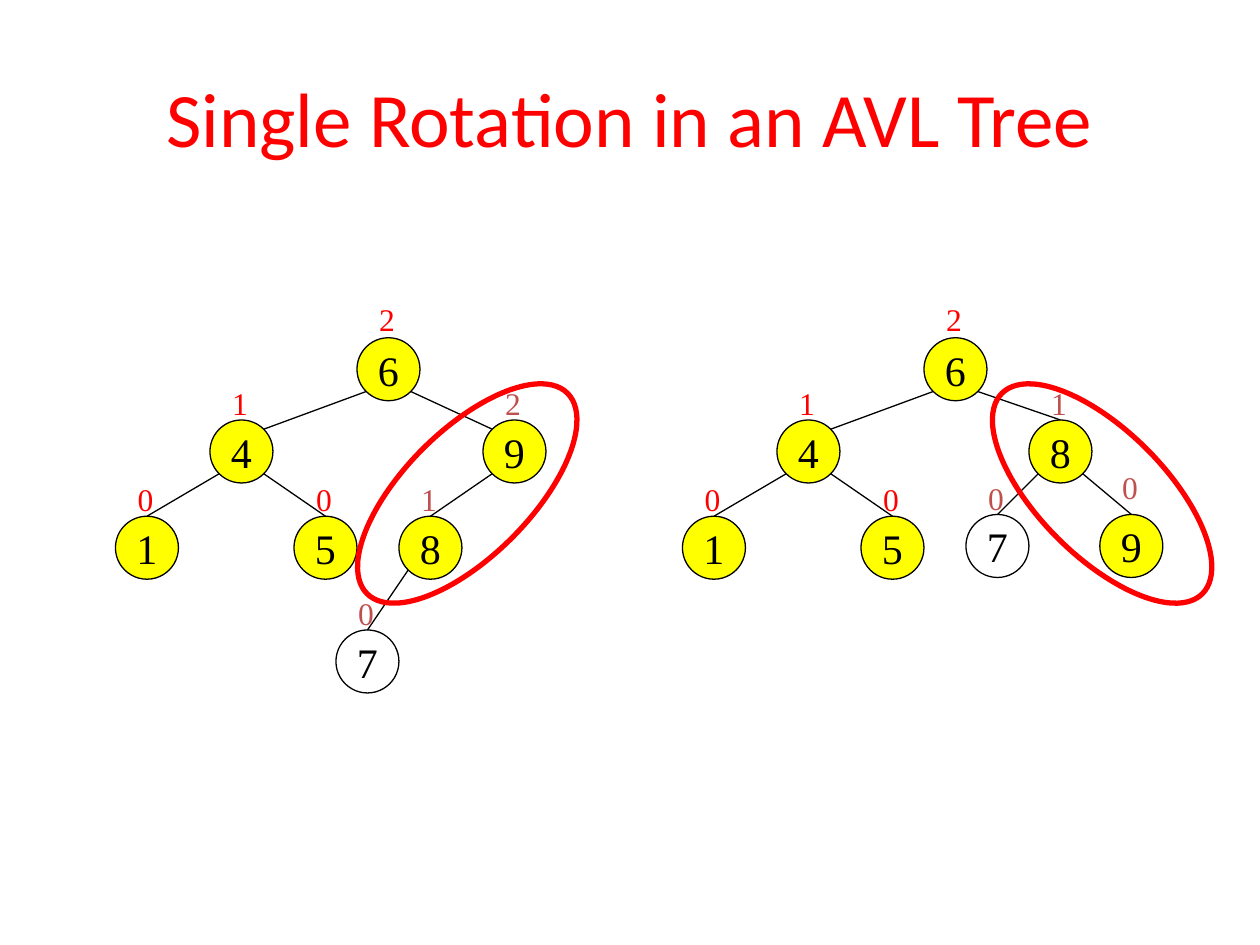
"""Draw an AVL tree before and after a single rotation."""
import dataclasses
import typing

import pptx
import pptx.dml.color
import pptx.enum.shapes
import pptx.enum.text
import pptx.oxml.ns
import pptx.util
from lxml import etree

Pt = pptx.util.Pt
ANCHOR = pptx.enum.text.MSO_ANCHOR
AUTO_SIZE = pptx.enum.text.MSO_AUTO_SIZE
ALIGN = pptx.enum.text.PP_ALIGN
OVAL = pptx.enum.shapes.MSO_SHAPE.OVAL
STRAIGHT = pptx.enum.shapes.MSO_CONNECTOR.STRAIGHT

RED, BRICK, YELLOW, BLACK = "FF0000", "C0504D", "FFFF00", "000000"
SERIF = "Times New Roman"
DIAMETER = 36
RADIUS = DIAMETER / 2
CORNER = RADIUS * 0.5 ** 0.5
TREE_SHIFT = 324

TITLE_FRAME = {"word_wrap": True, "vertical_anchor": ANCHOR.MIDDLE}
HEIGHT_FRAME = {"word_wrap": False, "auto_size": AUTO_SIZE.SHAPE_TO_FIT_TEXT}
KEY_FRAME = {"word_wrap": False, "vertical_anchor": ANCHOR.MIDDLE}


@dataclasses.dataclass
class Node:
    key: str
    x: float
    y: float
    height: str
    parent: str = ""
    height_color: str = RED
    fill: typing.Optional[str] = YELLOW
    joins_corner: bool = False
    height_rise: float = 24


@dataclasses.dataclass
class Tree:
    shift: float
    rotated: list[Node]
    ring_left: float
    ring_angle: float


SHARED = [
    Node("6", 222, 211, "2", height_rise=25),
    Node("4", 138, 258, "1", "6", joins_corner=True),
    Node("1", 84, 313, "0", "4"),
    Node("5", 186, 313, "0", "4"),
]
TREES = [
    Tree(0, [
        Node("9", 294, 258, "2", "6", BRICK, joins_corner=True),
        Node("8", 246, 313, "1", "9", BRICK),
        Node("7", 210, 378, "0", "8", BRICK, None),
    ], 186, 315),
    Tree(TREE_SHIFT, [
        Node("8", 282, 258, "1", "6", BRICK),
        Node("7", 246, 312, "0", "8", BRICK, None),
        Node("9", 322.5, 312, "0", "8", BRICK, height_rise=30),
    ], 548.8, 45),
]


def color(hex_code: str) -> pptx.dml.color.RGBColor:
    """Turn a hex string into a colour."""
    return pptx.dml.color.RGBColor.from_string(hex_code)


def apply_format(target: typing.Any, values: dict[str, typing.Any]) -> None:
    """Set each named attribute on the target."""
    for name, value in values.items():
        setattr(target, name, value)


def write(shape, words: str, size: float, face: str, ink: str,
          frame_format: dict, align=ALIGN.CENTER) -> None:
    """Put one formatted line of text in a shape."""
    frame = shape.text_frame
    apply_format(frame, frame_format)
    line = frame.paragraphs[0]
    line.alignment = align
    run = line.add_run()
    run.text = words
    apply_format(run.font, {"size": Pt(size), "name": face})
    run.font.color.rgb = color(ink)


def draw_oval(slide, left: float, top: float, width: float, height: float,
              fill: typing.Optional[str], outline: str, weight: float):
    """Draw an outlined ellipse and return it."""
    oval = slide.shapes.add_shape(OVAL, Pt(left), Pt(top), Pt(width), Pt(height))
    oval.shadow.inherit = False
    if fill:
        oval.fill.solid()
        oval.fill.fore_color.rgb = color(fill)
    else:
        oval.fill.background()
    oval.line.color.rgb = color(outline)
    oval.line.width = Pt(weight)
    return oval


def draw_node(slide, node: Node, shift: float) -> None:
    """Draw a node with its height above it."""
    left, top = node.x + shift - RADIUS, node.y - RADIUS
    height = slide.shapes.add_textbox(
        Pt(left + 5.6), Pt(top - node.height_rise), Pt(24.5), Pt(31))
    write(height, node.height, 18, SERIF, node.height_color, HEIGHT_FRAME, ALIGN.LEFT)
    circle = draw_oval(slide, left, top, DIAMETER, DIAMETER, node.fill, BLACK, 0.75)
    write(circle, node.key, 24, SERIF, BLACK, KEY_FRAME)


def draw_edge(slide, parent: Node, child: Node, shift: float) -> None:
    """Join the parent's lower corner to the child's top or inner corner."""
    reach = CORNER if child.x > parent.x else -CORNER
    end_x, end_y = child.x, child.y - RADIUS
    if child.joins_corner:
        end_x, end_y = child.x - reach, child.y - CORNER
    edge = slide.shapes.add_connector(
        STRAIGHT, Pt(parent.x + reach + shift), Pt(parent.y + CORNER),
        Pt(end_x + shift), Pt(end_y))
    edge.line.color.rgb = color(BLACK)
    edge.line.width = Pt(0.75)
    etree.SubElement(edge.element.spPr, pptx.oxml.ns.qn("a:effectLst"))


def draw_tree(slide, tree: Tree) -> None:
    """Draw the nodes, the edges and the ring around the rotated pair."""
    nodes = {node.key: node for node in SHARED + tree.rotated}
    for node in nodes.values():
        draw_node(slide, node, tree.shift)
    for node in nodes.values():
        if node.parent:
            draw_edge(slide, nodes[node.parent], node, tree.shift)
    ring = draw_oval(slide, tree.ring_left, 246, 162, 72, None, RED, 3)
    ring.rotation = tree.ring_angle


def main() -> None:
    """Build and save the slide."""
    deck = pptx.Presentation()
    apply_format(deck, {"slide_width": Pt(720), "slide_height": Pt(540)})
    slide = deck.slides.add_slide(deck.slide_layouts[6])
    title = slide.shapes.add_textbox(Pt(36), Pt(21.6), Pt(648), Pt(90))
    write(title, "Single Rotation in an AVL Tree", 44, "Calibri", RED, TITLE_FRAME)
    for tree in TREES:
        draw_tree(slide, tree)
    deck.save("out.pptx")


if __name__ == "__main__":
    main()
